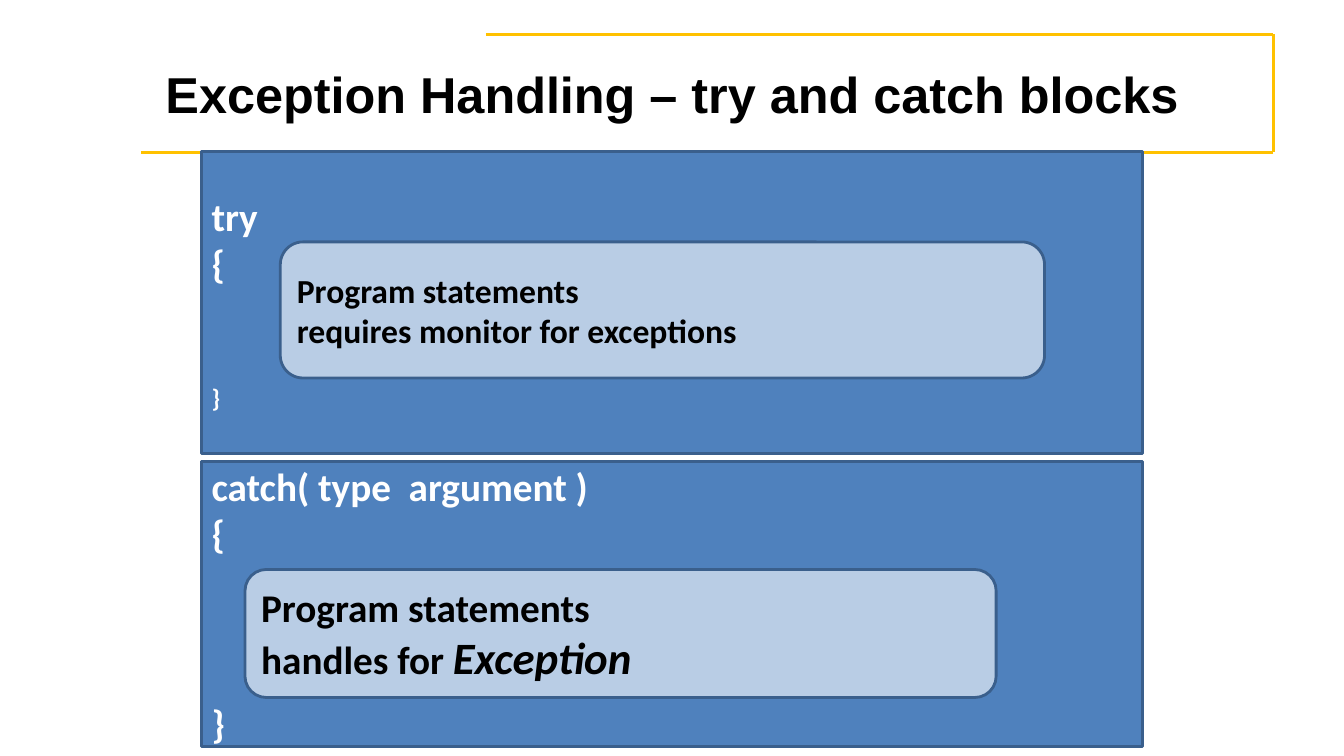
from itertools import pairwise

from lxml import etree
from pptx import Presentation
from pptx.dml.color import RGBColor
from pptx.enum.shapes import MSO_CONNECTOR, MSO_SHAPE
from pptx.enum.text import MSO_ANCHOR, PP_ALIGN
from pptx.oxml.ns import qn
from pptx.util import Inches, Pt

RECTANGLE, ROUNDED = MSO_SHAPE.RECTANGLE, MSO_SHAPE.ROUNDED_RECTANGLE
STRAIGHT = MSO_CONNECTOR.STRAIGHT
MIDDLE = MSO_ANCHOR.MIDDLE
LEFT, CENTER = PP_ALIGN.LEFT, PP_ALIGN.CENTER

TITLE = "Exception Handling – try and catch blocks"
TITLE_BOX = (0.67, 0.3, 12, 1.25)
FRAME_POINTS = [(4.82, 0.34), (12.63, 0.34), (12.63, 1.51), (1.4, 1.51)]
GOLD, BLUE, PALE_BLUE, EDGE = "FFC100", "4F81BD", "B9CDE5", "3A5F8C"
BLACK, WHITE = "000000", "FFFFFF"
LINE_WIDTH = 2
LINE_HEIGHT = 1.22  # Calibri line height per point of size
CODE_SIZE = 28

# Each paragraph: runs of (text, size, italic), and code lines left open above it
BLOCKS = [
    {
        "box": (2, 1.5, 9.33, 3),
        "code": [([("try", 28, False)], 0), ([("{", 28, False)], 0), ([("}", 18, False)], 2)],
        "inner_box": (2.78, 2.4, 7.58, 1.35),
        "statements": [
            ([("Program statements", 24, False)], 0),
            ([("requires monitor for exceptions", 24, False)], 0),
        ],
    },
    {
        "box": (2, 4.58, 9.33, 2.83),
        "code": [
            ([("catch( type  argument )", 28, False)], 0),
            ([("{", 28, False)], 0),
            ([("}", 28, False)], 3),
        ],
        "inner_box": (2.43, 5.65, 7.45, 1.27),
        "statements": [
            ([("Program statements", 28, False)], 0),
            ([("handles for ", 28, False), ("Exception", 32, True)], 0),
        ],
    },
]


def color(value):
    return RGBColor.from_string(value)


def style_run(run, font_name, size, text_color, italic=False):
    run.font.name = font_name
    run.font.size = Pt(size)
    run.font.bold = True
    run.font.italic = italic
    run.font.color.rgb = color(text_color)


def add_panel(slide, kind, box, fill, text_color, paragraphs):
    shape = slide.shapes.add_shape(kind, *map(Inches, box))
    shape.shadow.inherit = False
    shape.fill.solid()
    shape.fill.fore_color.rgb = color(fill)
    shape.line.color.rgb = color(EDGE)
    shape.line.width = Pt(LINE_WIDTH)
    frame = shape.text_frame
    frame.word_wrap = True
    frame.vertical_anchor = MIDDLE
    for index, (runs, open_lines) in enumerate(paragraphs):
        paragraph = frame.add_paragraph() if index else frame.paragraphs[0]
        paragraph.alignment = LEFT
        paragraph.space_before = Pt(open_lines * CODE_SIZE * LINE_HEIGHT)
        for text, size, italic in runs:
            run = paragraph.add_run()
            run.text = text
            style_run(run, "Calibri", size, text_color, italic)


def add_frame_line(slide, start, end):
    connector = slide.shapes.add_connector(STRAIGHT, *map(Inches, start + end))
    connector.line.color.rgb = color(GOLD)
    connector.line.width = Pt(LINE_WIDTH)
    etree.SubElement(connector._element.spPr, qn("a:effectLst"))


def set_title(slide):
    title = slide.shapes.title
    title.left, title.top, title.width, title.height = map(Inches, TITLE_BOX)
    frame = title.text_frame
    frame.text = TITLE
    frame.word_wrap = True
    frame.vertical_anchor = MIDDLE
    paragraph = frame.paragraphs[0]
    paragraph.alignment = CENTER
    style_run(paragraph.runs[0], "Arial", 36, BLACK)


def main():
    presentation = Presentation()
    presentation.slide_width = Inches(13.33)
    presentation.slide_height = Inches(7.5)
    slide = presentation.slides.add_slide(presentation.slide_layouts[5])
    set_title(slide)
    for start, end in pairwise(FRAME_POINTS):
        add_frame_line(slide, start, end)
    for block in BLOCKS:
        add_panel(slide, RECTANGLE, block["box"], BLUE, WHITE, block["code"])
        add_panel(slide, ROUNDED, block["inner_box"], PALE_BLUE, BLACK, block["statements"])
    presentation.save("out.pptx")


if __name__ == "__main__":
    main()
